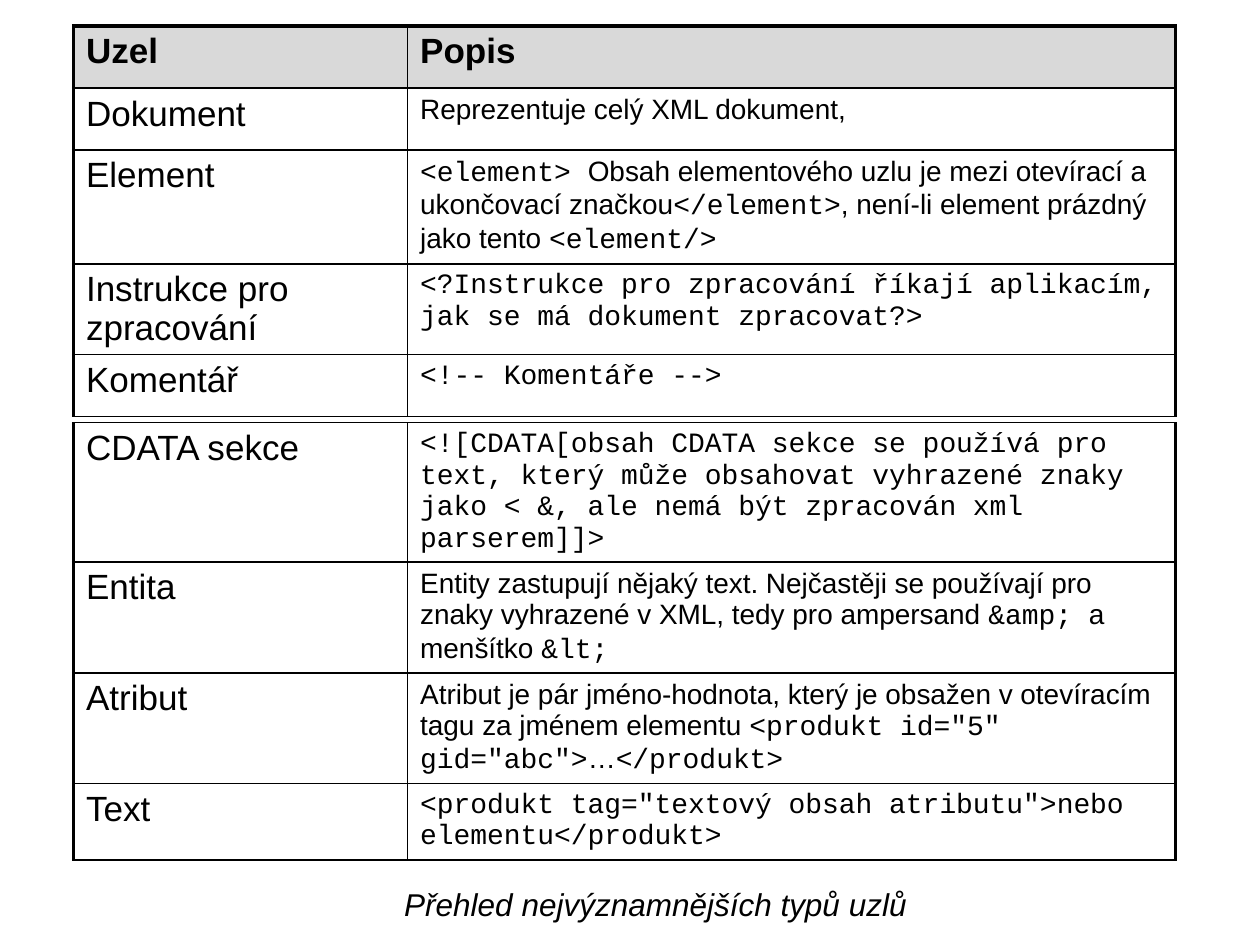
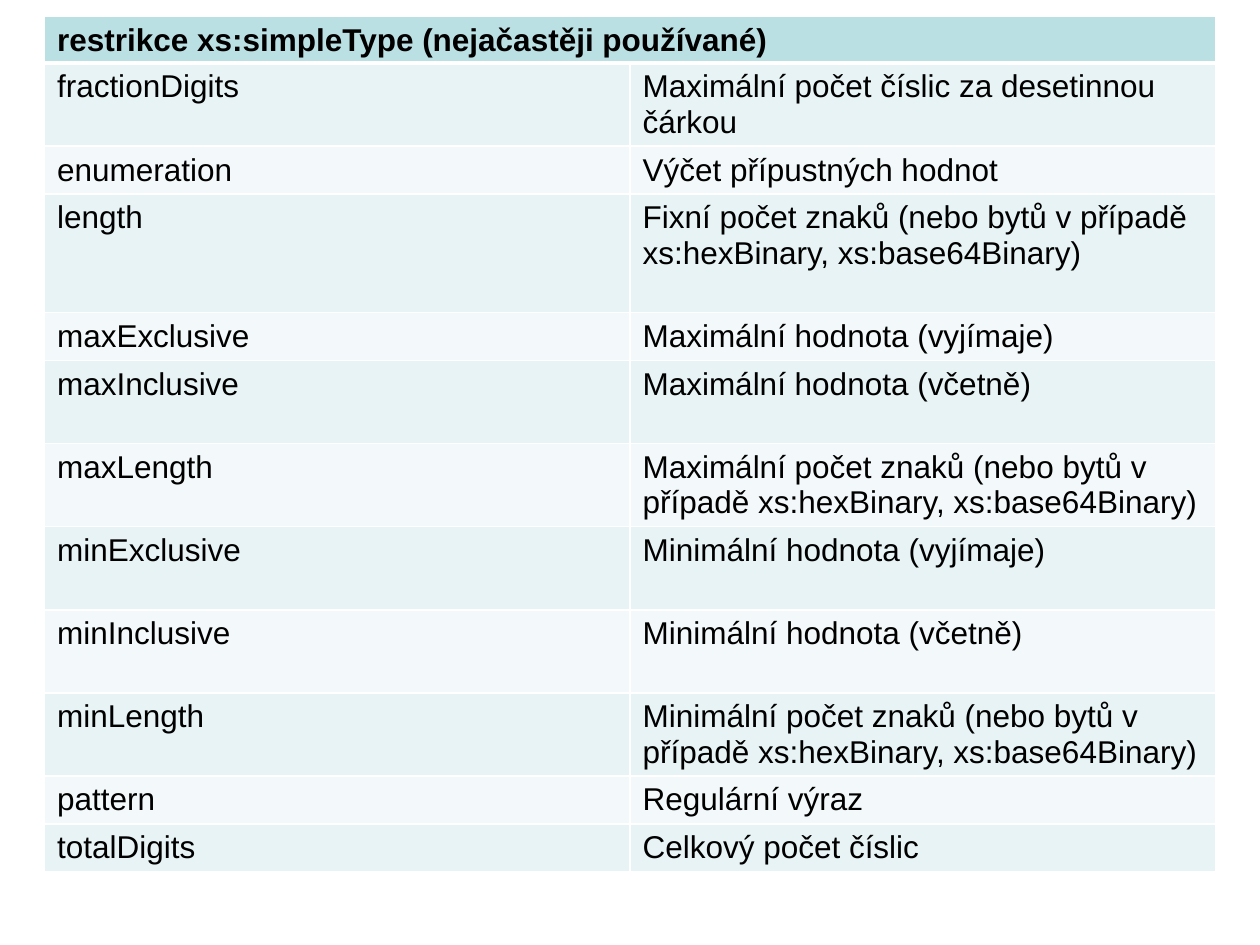
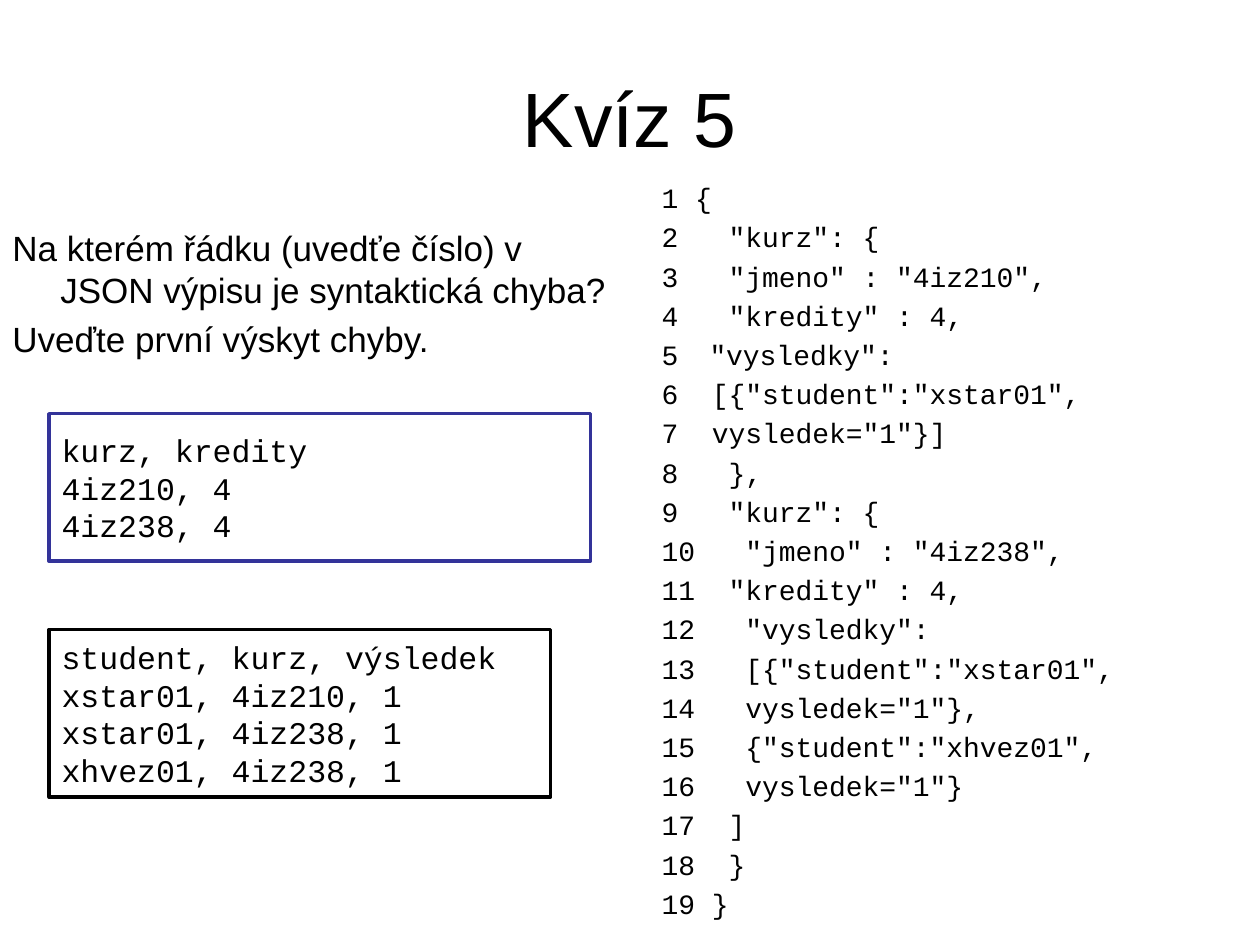
"""Three slides on XML node types, simple type restrictions and a JSON quiz."""
from dataclasses import dataclass

from lxml.etree import SubElement
from pptx import Presentation
from pptx.dml.color import RGBColor
from pptx.enum.shapes import MSO_SHAPE
from pptx.enum.text import MSO_ANCHOR, PP_ALIGN
from pptx.oxml.ns import qn
from pptx.util import Inches, Pt


@dataclass(frozen=True)
class Theme:
    ink: str = "000000"
    paper: str = "FFFFFF"
    heading_grey: str = "D9D9D9"
    heading_teal: str = "BBE0E3"
    bands: tuple = ("F3F9FA", "E7F3F4")
    accent: str = "333399"
    sans: str = "Arial"
    mono: str = "Courier New"
    title: int = 44
    term: int = 20
    body: int = 18
    detail: int = 16
    thin: float = 1
    frame: float = 2.25
    outline: float = 2
    rule: float = 3


theme = Theme()
UNIT = Inches(0.1)
COLUMNS, ROWS = 100, 75


def write(paragraph, runs, size, bold=False, italic=False, spaced=False):
    """Write (text, font) runs, optionally with a fifth of a line before them."""
    if spaced:
        before = SubElement(paragraph._p.get_or_add_pPr(), qn("a:spcBef"))
        SubElement(before, qn("a:spcPct"), val="20000")
    for text, face in runs:
        run = paragraph.add_run()
        run.text = text
        run.font.name, run.font.size = face, Pt(size)
        run.font.bold, run.font.italic = bold, italic
        run.font.color.rgb = RGBColor.from_string(theme.ink)


def place_table(slide, left, top, widths, heights, cells, sizes, fills, line, frame,
                heading=True, heading_rule=theme.thin, spaced=False):
    """Place a table; frame gives the left, right, top and bottom outer line widths."""
    table = slide.shapes.add_table(
        len(heights), len(widths), round(left * UNIT), round(top * UNIT),
        round(sum(widths) * UNIT), round(sum(heights) * UNIT)).table
    table.first_row = table.horz_banding = False
    for column, width in zip(table.columns, widths):
        column.width = round(width * UNIT)
    for r, (height, record) in enumerate(zip(heights, cells)):
        table.rows[r].height = round(height * UNIT)
        is_heading = heading and r == 0
        for c, runs in enumerate(record):
            cell = table.cell(r, c)
            cell.margin_bottom = Inches(0.01)
            write(cell.text_frame.paragraphs[0], runs,
                  sizes[0] if is_heading else sizes[c], bold=is_heading, spaced=spaced)
            if fills[r]:
                cell.fill.solid()
                cell.fill.fore_color.rgb = RGBColor.from_string(fills[r])
            else:
                cell.fill.background()
            inner_top = heading_rule if heading and r == 1 else theme.thin
            inner_bottom = heading_rule if is_heading else theme.thin
            borders = {
                "a:lnL": theme.thin if c else frame[0],
                "a:lnR": frame[1] if c == len(widths) - 1 else theme.thin,
                "a:lnT": inner_top if r else frame[2],
                "a:lnB": frame[3] if r == len(heights) - 1 else inner_bottom,
            }
            properties = cell._tc.get_or_add_tcPr()
            for position, (side, width) in enumerate(borders.items()):
                border = SubElement(properties, qn(side), w=str(Pt(width)))
                SubElement(SubElement(border, qn("a:solidFill")), qn("a:srgbClr"), val=line)
                properties.insert(position, border)
    return table


deck = Presentation()
deck.slide_width, deck.slide_height = COLUMNS * UNIT, ROWS * UNIT
nodes, restrictions, quiz = [deck.slides.add_slide(deck.slide_layouts[6]) for _ in range(3)]

basic_nodes = [
    ("Uzel", [("Popis", theme.sans)]),
    ("Dokument", [("Reprezentuje celý XML dokument,", theme.sans)]),
    ("Element", [
        ("<element> ", theme.mono),
        ("Obsah elementového uzlu je mezi otevírací a ukončovací značkou", theme.sans),
        ("</element>", theme.mono),
        (", není-li element prázdný jako tento ", theme.sans),
        ("<element/>", theme.mono)]),
    ("Instrukce pro zpracování", [
        ("<?Instrukce pro zpracování říkají aplikacím, jak se má dokument zpracovat?>",
         theme.mono)]),
    ("Komentář", [("<!-- Komentáře -->", theme.mono)]),
]
content_nodes = [
    ("CDATA sekce", [
        ("<![CDATA[obsah CDATA sekce se používá pro text, který může obsahovat vyhrazené "
         "znaky jako < &, ale nemá být zpracován xml parserem]]>", theme.mono)]),
    ("Entita", [
        ("Entity zastupují nějaký text. Nejčastěji se používají pro znaky vyhrazené v XML, "
         "tedy pro ampersand ", theme.sans),
        ("&amp; ", theme.mono), ("a menšítko ", theme.sans), ("&lt;", theme.mono)]),
    ("Atribut", [
        ("Atribut je pár jméno-hodnota, který je obsažen v otevíracím tagu za jménem "
         "elementu ", theme.sans),
        ('<produkt id="5" gid="abc">', theme.mono),
        ("…", theme.sans), ("</produkt>", theme.mono)]),
    ("Text", [
        ('<produkt tag="textový obsah atributu">nebo elementu</produkt>', theme.mono)]),
]
for top, heights, entries, heading in (
        (33.55, (11.05, 8.8, 8.8, 6.05), content_nodes, False),
        (2.05, (4.95, 4.9, 9.05, 7.2, 4.9), basic_nodes, True)):
    place_table(
        nodes, 5.83, top, (26.52, 60.95), heights,
        [([(term, theme.sans)], description) for term, description in entries],
        (theme.term, theme.detail),
        [theme.heading_grey if heading and r == 0 else None for r in range(len(entries))],
        theme.ink,
        (theme.frame, theme.frame, theme.frame if heading else theme.thin, theme.thin),
        heading=heading, spaced=True)

facets = [
    ("restrikce xs:simpleType (nejačastěji používané)", "", 3.7),
    ("fractionDigits", "Maximální počet číslic za desetinnou čárkou", 6.6),
    ("enumeration", "Výčet přípustných hodnot", 3.8),
    ("length", "Fixní počet znaků (nebo bytů v případě xs:hexBinary, xs:base64Binary)", 9.4),
    ("maxExclusive", "Maximální hodnota (vyjímaje)", 3.8),
    ("maxInclusive", "Maximální hodnota (včetně)", 6.6),
    ("maxLength", "Maximální počet znaků (nebo bytů v případě xs:hexBinary, xs:base64Binary)", 6.6),
    ("minExclusive", "Minimální hodnota (vyjímaje)", 6.6),
    ("minInclusive", "Minimální hodnota (včetně)", 6.6),
    ("minLength", "Minimální počet znaků (nebo bytů v případě xs:hexBinary, xs:base64Binary)", 6.6),
    ("pattern", "Regulární výraz", 3.8),
    ("totalDigits", "Celkový počet číslic", 3.8),
]
facet_table = place_table(
    restrictions, 3.53, 1.3, (46.47, 46.47), [height for _, _, height in facets],
    [[[(text, theme.sans)] for text in facet[:2] if text] or [[]] for facet in facets],
    (theme.body, theme.body),
    [theme.bands[r % 2] if r else theme.heading_teal for r in range(len(facets))],
    theme.paper, (theme.thin,) * 4, heading_rule=theme.rule)
facet_table.cell(0, 0).merge(facet_table.cell(0, 1))

question = [
    "Na kterém řádku (uvedťe číslo) v JSON výpisu je syntaktická chyba?",
    "Uveďte první výskyt chyby.",
]
listing = [
    '1 {',
    '2   "kurz": {',
    '3   "jmeno" : "4iz210",',
    '4   "kredity" : 4,',
    '"vysledky":',
    '6  [{"student":"xstar01",',
    '7  vysledek="1"}]',
    '8   },',
    '9   "kurz": {',
    '10   "jmeno" : "4iz238",',
    '11  "kredity" : 4,',
    '12   "vysledky":',
    '13   [{"student":"xstar01",',
    '14   vysledek="1"},',
    '15   {"student":"xhvez01",',
    '16   vysledek="1"}',
    '17  ]',
    '18  }',
    '19 }',
]
courses = ["kurz, kredity", "4iz210, 4", "4iz238, 4"]
results = ["student, kurz, výsledek", "xstar01, 4iz210, 1", "xstar01, 4iz238, 1",
           "xhvez01, 4iz238, 1"]
caption = ["Přehled nejvýznamnějších typů uzlů"]
heading = ["Kvíz 5"]
hanging = {question[0]: None, listing[4]: 5}

for slide, box, lines, face, size, outline in (
        (nodes, (31.1, 69.75, 51.2, 4), caption, theme.sans, theme.body, None),
        (quiz, (5, 3, 90, 12.5), heading, theme.sans, theme.title, None),
        (quiz, (0, 17.5, 49.2, 49.5), question, theme.sans, theme.term, None),
        (quiz, (51.53, 13.86, 47.3, 61.1), listing, theme.mono, theme.detail, None),
        (quiz, (3.9, 32.84, 42.97, 11.7), courses, theme.mono, theme.body, theme.accent),
        (quiz, (3.9, 49.97, 39.8, 13.3), results, theme.mono, theme.body, theme.ink)):
    place = [round(length * UNIT) for length in box]
    if outline:
        panel = slide.shapes.add_shape(MSO_SHAPE.RECTANGLE, *place)
        panel.shadow.inherit = False
        panel.fill.solid()
        panel.fill.fore_color.rgb = RGBColor.from_string(theme.paper)
        panel.line.color.rgb = RGBColor.from_string(outline)
        panel.line.width = Pt(theme.outline)
    else:
        panel = slide.shapes.add_textbox(*place)
    frame = panel.text_frame
    frame.word_wrap = True
    frame.vertical_anchor = MSO_ANCHOR.MIDDLE if outline or lines is heading else MSO_ANCHOR.TOP
    for index, line in enumerate(lines):
        paragraph = frame.add_paragraph() if index else frame.paragraphs[0]
        paragraph.alignment = PP_ALIGN.CENTER if lines is heading else PP_ALIGN.LEFT
        write(paragraph, [(line, face)], size, italic=lines is caption,
              spaced=lines in (question, listing))
        if line in hanging:
            properties = paragraph._p.get_or_add_pPr()
            properties.set("marL", str(Inches(0.38)))
            properties.set("indent", str(Inches(-0.38)))
            if hanging[line]:
                SubElement(properties, qn("a:buFont"), typeface=face)
                SubElement(properties, qn("a:buAutoNum"), type="arabicPlain",
                           startAt=str(hanging[line]))

deck.save("out.pptx")
